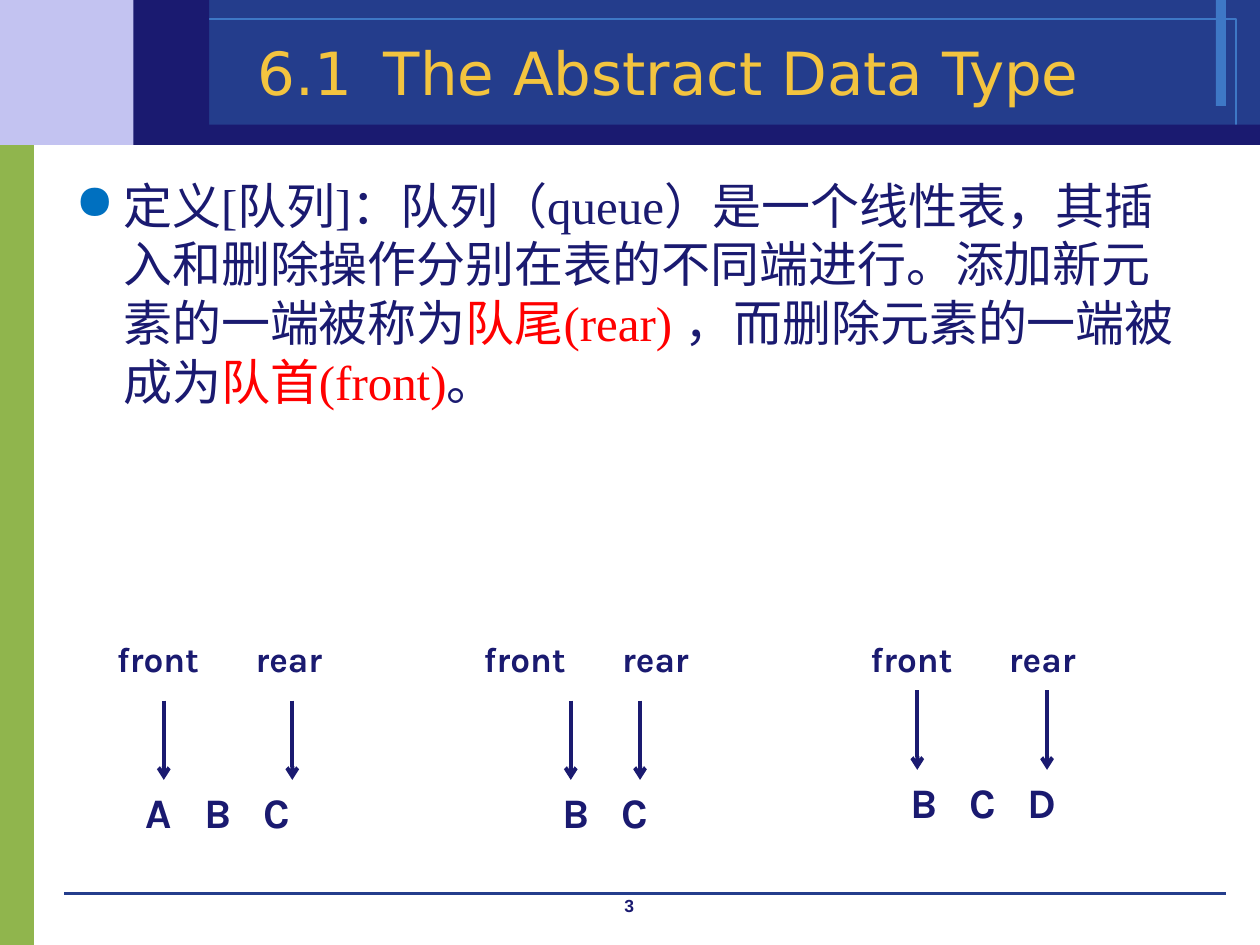
from dataclasses import dataclass

from lxml.etree import SubElement
from pptx import Presentation
from pptx.dml.color import RGBColor
from pptx.enum.shapes import MSO_CONNECTOR, MSO_SHAPE
from pptx.enum.text import MSO_ANCHOR, PP_ALIGN
from pptx.oxml.ns import qn
from pptx.util import Inches, Pt


@dataclass(frozen=True)
class Theme:
    navy: str = "1A1A70"
    blue: str = "243D8C"
    sky: str = "3E78C6"
    lilac: str = "C3C3F1"
    green: str = "90B54D"
    gold: str = "F3C43F"
    red: str = "FF0000"
    bullet: str = "0070C0"
    title_font: str = "DejaVu Sans"
    body_font: str = "Times New Roman"
    label_font: str = "Karla"
    number_font: str = "Arial"
    title_size: int = 34
    body_size: int = 28
    item_size: int = 24
    label_size: int = 20
    number_size: int = 10


@dataclass(frozen=True)
class Queue:
    label_x: float
    item_x: float
    item_y: float
    items: str
    front_x: float
    rear_x: float


THEME = Theme()
ITEM_PITCH = 0.465
ARROW_LENGTH = 0.63
LABEL_Y = 5.01
LABEL_GAP = 1.1

BARS = [
    (0, 1.07, 0.27, 6.44, THEME.green),
    (0, 0, 1.53, 1.15, THEME.lilac),
    (1.53, 0, 8.47, 1.15, THEME.blue),
    (9.65, 0, 0.08, 0.84, THEME.sky),
]
TRIM = [
    (1.3, 0.99, 8.7, 0.16, THEME.navy),
    (1.06, 0, 0.6, 1.15, THEME.navy),
]
QUEUES = [
    Queue(0.83, 1.06, 6.19, "ABC", 1.3, 2.32),
    Queue(3.74, 4.37, 6.19, "BC", 4.53, 5.08),
    Queue(6.81, 7.13, 6.11, "BCD", 7.28, 8.31),
]
DEFINITION = [
    ("定义[队列]：队列（queue）是一个线性表，其插入和删除操作分别在表的不同端进行。"
     "添加新元素的一端被称为", THEME.navy),
    ("队尾(rear) ", THEME.red),
    ("，而删除元素的一端被成为", THEME.navy),
    ("队首(front)", THEME.red),
    ("。", THEME.navy),
]


def add_rect(s, x: float, y: float, w: float, h: float,
             fill: str | None = None, line: str | None = None):
    sp = s.shapes.add_shape(MSO_SHAPE.RECTANGLE, Inches(x), Inches(y), Inches(w), Inches(h))
    sp.shadow.inherit = False
    if fill:
        sp.fill.solid()
        sp.fill.fore_color.rgb = RGBColor.from_string(fill)
    else:
        sp.fill.background()
    if line:
        sp.line.color.rgb = RGBColor.from_string(line)
        sp.line.width = Pt(0)
    else:
        sp.line.fill.background()
    return sp


def add_line(s, x1: float, y1: float, x2: float, y2: float,
             color: str, width: float, arrow: bool = False):
    c = s.shapes.add_connector(MSO_CONNECTOR.STRAIGHT, Inches(x1), Inches(y1),
                               Inches(x2), Inches(y2))
    c.line.color.rgb = RGBColor.from_string(color)
    c.line.width = Pt(width)
    if arrow:
        SubElement(c.line._get_or_add_ln(), qn("a:tailEnd"), type="arrow")
    SubElement(c._element.spPr, qn("a:effectLst"))
    return c


def add_text(s, x: float, y: float, w: float, h: float, text, *, font: str, size: int,
             color: str = THEME.navy, bold: bool = False, align=PP_ALIGN.LEFT,
             anchor=MSO_ANCHOR.TOP, wrap: bool = True):
    tf = s.shapes.add_textbox(Inches(x), Inches(y), Inches(w), Inches(h)).text_frame
    tf.word_wrap = wrap
    tf.vertical_anchor = anchor
    p = tf.paragraphs[0]
    p.alignment = align
    for part, part_color in [(text, color)] if isinstance(text, str) else text:
        r = p.add_run()
        r.text = part
        r.font.name = font
        r.font.size = Pt(size)
        r.font.bold = bold
        r.font.color.rgb = RGBColor.from_string(part_color)
    return p


def add_bullet(p, char: str, color: str, indent: float) -> None:
    pPr = p._p.get_or_add_pPr()
    pPr.set("marL", str(Inches(indent)))
    pPr.set("indent", str(-Inches(indent)))
    SubElement(SubElement(pPr, qn("a:buClr")), qn("a:srgbClr"), val=color)
    SubElement(pPr, qn("a:buChar"), char=char)


def add_tabs(p, pitch: float, count: int) -> None:
    tabs = SubElement(p._p.get_or_add_pPr(), qn("a:tabLst"))
    for i in range(1, count + 1):
        SubElement(tabs, qn("a:tab"), pos=str(Inches(pitch * i)), algn="l")


def add_queue(s, q: Queue) -> None:
    p = add_text(s, q.item_x, q.item_y, 1.73, 0.5, "\t".join(q.items),
                 font=THEME.label_font, size=THEME.item_size, bold=True)
    add_tabs(p, ITEM_PITCH, len(q.items) - 1)
    for x in (q.front_x, q.rear_x):
        add_line(s, x, q.item_y - ARROW_LENGTH, x, q.item_y, THEME.navy, 2.25, arrow=True)
    for i, (name, width) in enumerate([("front", 0.95), ("rear", 0.87)]):
        add_text(s, q.label_x + i * LABEL_GAP, LABEL_Y, width, 0.43, name,
                 font=THEME.label_font, size=THEME.label_size, bold=True, wrap=False)


def main() -> None:
    prs = Presentation()
    prs.slide_width, prs.slide_height = Inches(10), Inches(7.5)
    s = prs.slides.add_slide(prs.slide_layouts[6])
    for x, y, w, h, fill in BARS:
        add_rect(s, x, y, w, h, fill)
    add_rect(s, 1.19, 0.15, 8.62, 0.85, line=THEME.sky)
    add_line(s, 0.51, 7.09, 9.73, 7.09, THEME.blue, 0)
    for x, y, w, h, fill in TRIM:
        add_rect(s, x, y, w, h, fill)
    add_text(s, 3.83, 7.05, 2.33, 0.25, "3", font=THEME.number_font,
             size=THEME.number_size, bold=True, align=PP_ALIGN.CENTER)
    add_text(s, 1.19, 0.26, 8.23, 0.62, "6.1\tThe Abstract Data Type",
             font=THEME.title_font, size=THEME.title_size, color=THEME.gold,
             align=PP_ALIGN.CENTER, anchor=MSO_ANCHOR.MIDDLE)
    p = add_text(s, 0.5, 1.34, 9, 5.74, DEFINITION, font=THEME.body_font, size=THEME.body_size)
    add_bullet(p, "●", THEME.bullet, 0.38)
    for q in QUEUES:
        add_queue(s, q)
    prs.save("out.pptx")


if __name__ == "__main__":
    main()
